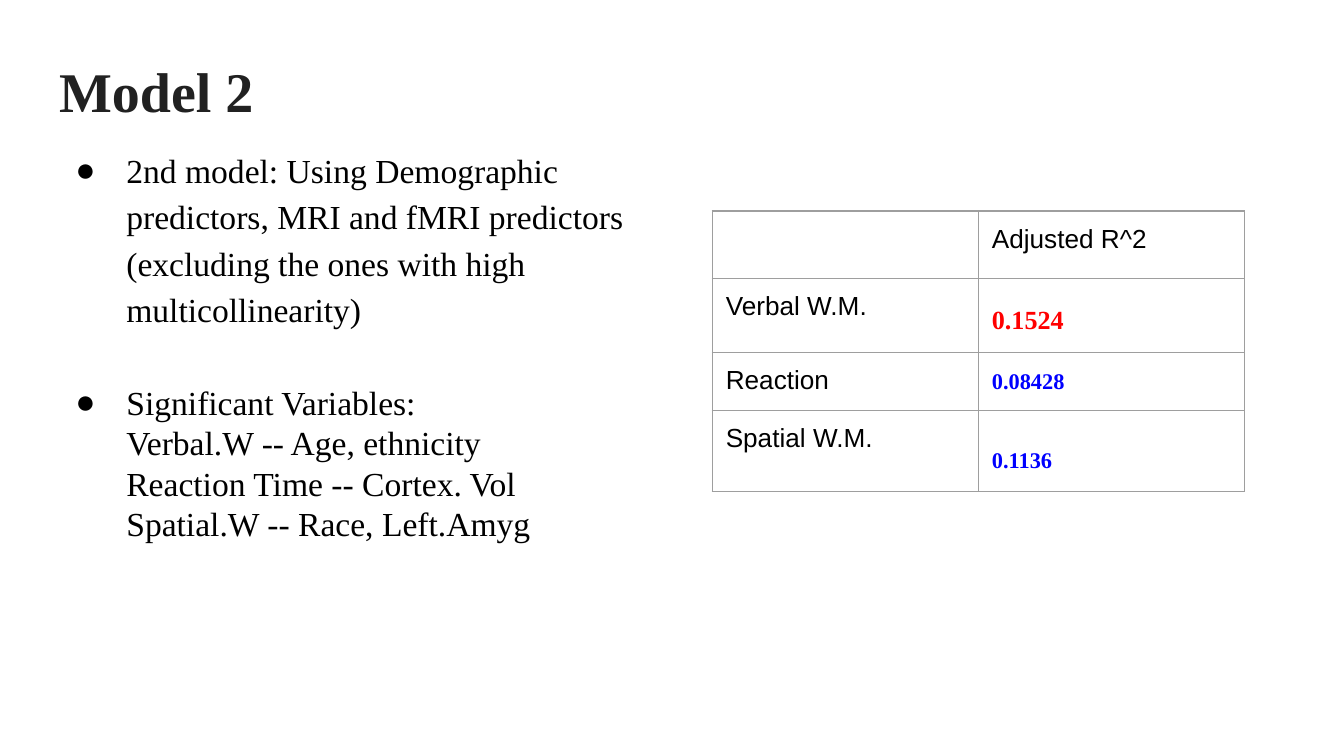
import pptx
import pptx.util
import pptx.dml.color
import pptx.enum.text
import lxml.etree
import pptx.oxml.ns

COLORS = {"title": "212121", "text": "000000", "best": "FF0000",
          "other": "0000FF", "border": "9E9E9E"}
SERIF, SANS = "Times New Roman", "Arial"
Inches, Pt = pptx.util.Inches, pptx.util.Pt


def add_text(paragraph, text, size, font_name, color, bold=False):
    run = paragraph.add_run()
    run.text = text
    formats = {"size": Pt(size), "name": font_name, "bold": bold}
    for name, value in formats.items():
        setattr(run.font, name, value)
    run.font.color.rgb = pptx.dml.color.RGBColor.from_string(COLORS[color])


def add_element(parent, tag, **attributes):
    return lxml.etree.SubElement(parent, pptx.oxml.ns.qn(tag), attributes)


# A 16:9 slide
presentation = pptx.Presentation()
presentation.slide_width = Inches(10)
presentation.slide_height = presentation.slide_width * 9 // 16
slide = presentation.slides.add_slide(presentation.slide_layouts[5])

# Title
title = slide.shapes.title
title_place = {"left": 0.34, "top": 0.32, "width": 9.32, "height": 0.88}
for name, value in title_place.items():
    setattr(title, name, Inches(value))
title_frame = title.text_frame
title_format = {"margin_left": Inches(0.1), "margin_right": Inches(0.1),
                "margin_top": Inches(0.1), "margin_bottom": Inches(0.1),
                "vertical_anchor": pptx.enum.text.MSO_ANCHOR.TOP,
                "word_wrap": True,
                "auto_size": pptx.enum.text.MSO_AUTO_SIZE.NONE}
for name, value in title_format.items():
    setattr(title_frame, name, value)
title_frame.paragraphs[0].alignment = pptx.enum.text.PP_ALIGN.LEFT
add_text(title_frame.paragraphs[0], "Model 2", 30, SERIF, "title", True)

# Model description: text, bullet, line spacing, space before in points
lines = [
    ("2nd model: Using Demographic predictors, MRI and fMRI predictors", True, 1.15, 0),
    ("(excluding the ones with high multicollinearity)", False, 1.15, 0),
    ("Significant Variables:", True, 1.15, 25),
    ("Verbal.W -- Age, ethnicity", False, 1, 0),
    ("Reaction Time -- Cortex. Vol", False, 1, 0),
    ("Spatial.W -- Race, Left.Amyg", False, 1, 0),
]
body = slide.shapes.add_textbox(Inches(0.44), Inches(1.07), Inches(4.68), Inches(3.65))
body_frame = body.text_frame
body_frame.word_wrap = True
for side in ("left", "right", "top", "bottom"):
    setattr(body_frame, "margin_" + side, 0)
for index, (text, bullet, spacing, before) in enumerate(lines):
    paragraph = body_frame.paragraphs[0] if index == 0 else body_frame.add_paragraph()
    paragraph.line_spacing = spacing
    paragraph.space_before = Pt(before)
    add_text(paragraph, text, 18, SERIF, "text")
    properties = paragraph._p.get_or_add_pPr()
    properties.set("marL", str(Inches(0.5)))
    properties.set("indent", str(Inches(-0.38) if bullet else 0))
    if bullet:
        add_element(properties, "a:buFont", typeface=SERIF)
        add_element(properties, "a:buChar", char="●")

# Results table: label, value, value size, value font, value colour, line spacing
rows = [
    ("", "Adjusted R^2", 14, SANS, "text", 1),
    ("Verbal W.M.", "0.1524", 14, SERIF, "best", 1.5),
    ("Reaction", "0.08428", 12, SERIF, "other", 1.15),
    ("Spatial W.M.", "0.1136", 12, SERIF, "other", 2),
]
column_width, row_height = 1.98, 0.42
table = slide.shapes.add_table(len(rows), 2, Inches(5.3), Inches(1.57),
                               Inches(2 * column_width),
                               Inches(len(rows) * row_height)).table
table.first_row = table.horz_banding = False
for row_index, (label, value, size, font_name, color, spacing) in enumerate(rows):
    cells = [table.cell(row_index, column) for column in range(2)]
    if label:
        add_text(cells[0].text_frame.paragraphs[0], label, 14, SANS, "text")
    value_paragraph = cells[1].text_frame.paragraphs[0]
    value_paragraph.line_spacing = spacing
    add_text(value_paragraph, value, size, font_name, color, font_name == SERIF)
    for cell in cells:
        for side in ("left", "right", "top", "bottom"):
            setattr(cell, "margin_" + side, Inches(0.1))
        cell_properties = cell._tc.get_or_add_tcPr()
        for edge in ("a:lnL", "a:lnR", "a:lnT", "a:lnB"):
            border = add_element(cell_properties, edge, w=str(Pt(0.75)))
            fill = add_element(border, "a:solidFill")
            add_element(fill, "a:srgbClr", val=COLORS["border"])
        cell.fill.background()

presentation.save("out.pptx")
